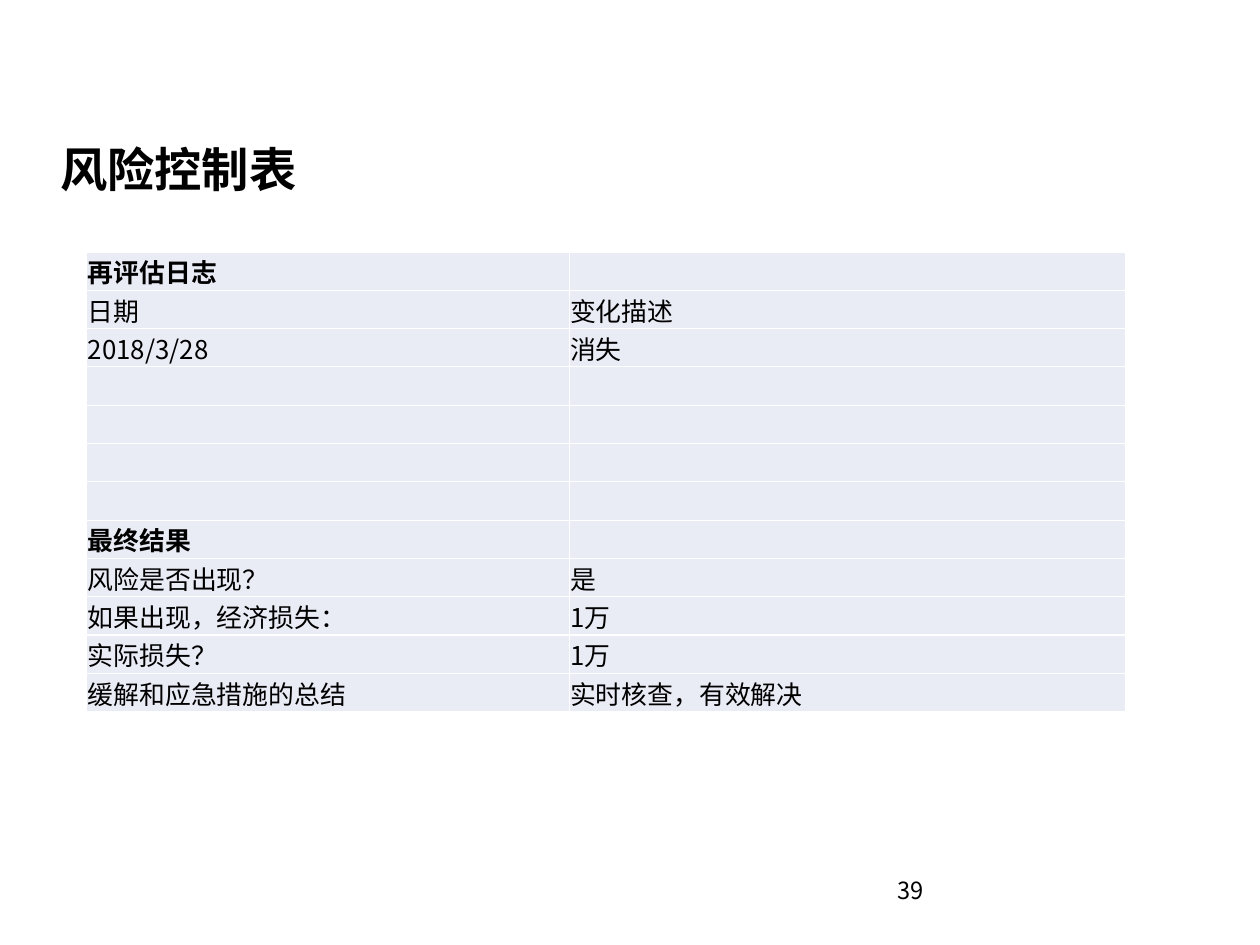
from dataclasses import dataclass

import lxml.etree
import pptx
import pptx.dml.color
import pptx.enum.text
import pptx.oxml.ns
import pptx.util

Pt = pptx.util.Pt
qn = pptx.oxml.ns.qn


@dataclass(frozen=True)
class Theme:
    font: str = "Noto Sans CJK SC"
    ink: str = "000000"
    cell_fill: str = "E9EBF5"
    grid: str = "FFFFFF"
    title_size: float = 38.4
    table_size: float = 21
    number_size: float = 19.2


@dataclass(frozen=True)
class Label:
    text: str
    left: float
    top: float
    width: float
    height: float
    inset: float
    size: float
    bold: bool = False
    line_spacing: float = 1.0


@dataclass(frozen=True)
class LogRow:
    name: str = ""
    detail: str = ""
    heading: bool = False


THEME = Theme()

LABELS = [
    Label("39", 722.9, 712, 230.4, 41, 6.5, THEME.number_size),
    Label("风险控制表", 41.8, 119.5, 331.2, 34.6, 7.2, THEME.title_size, True, 0.9),
]

LOG_ROWS = [
    LogRow("再评估日志", heading=True),
    LogRow("日期", "变化描述"),
    LogRow("2018/3/28", "消失"),
    *[LogRow()] * 4,
    LogRow("最终结果", heading=True),
    LogRow("风险是否出现？", "是"),
    LogRow("如果出现，经济损失：", "1万"),
    LogRow("实际损失？", "1万"),
    LogRow("缓解和应急措施的总结", "实时核查，有效解决"),
]

TABLE_LEFT, TABLE_TOP = 70.6, 204.8
COLUMN_WIDTHS = (392, 452)
ROW_HEIGHT = 31.15
CELL_INSET = 0.72


def write_text(frame, text: str, *, size: float, bold: bool = False,
               line_spacing: float = 1.0) -> None:
    para = frame.paragraphs[0]
    para.line_spacing = line_spacing
    span = para.add_run()
    span.text = text
    span.font.size = Pt(size)
    span.font.bold = bold
    span.font.name = THEME.font
    span.font.color.rgb = pptx.dml.color.RGBColor.from_string(THEME.ink)
    # East Asian glyphs take their own typeface entry
    east_asian = lxml.etree.SubElement(span.font._element, qn("a:ea"))
    east_asian.set("typeface", THEME.font)


def add_label(page, label: Label) -> None:
    box = page.shapes.add_textbox(
        Pt(label.left), Pt(label.top), Pt(label.width), Pt(label.height))
    frame = box.text_frame
    frame.word_wrap = True
    frame.margin_left = frame.margin_right = Pt(label.inset)
    frame.margin_top = frame.margin_bottom = Pt(0)
    write_text(frame, label.text, size=label.size, bold=label.bold,
               line_spacing=label.line_spacing)


def format_cell(cell, text: str, bold: bool) -> None:
    cell.margin_left = cell.margin_right = cell.margin_top = Pt(CELL_INSET)
    cell.margin_bottom = Pt(0)
    cell.vertical_anchor = pptx.enum.text.MSO_ANCHOR.BOTTOM
    # Borders come before the fill in the cell properties
    properties = cell._tc.get_or_add_tcPr()
    for side in ("lnL", "lnR", "lnT", "lnB"):
        line = lxml.etree.SubElement(properties, qn(f"a:{side}"), w=str(Pt(1)))
        paint = lxml.etree.SubElement(line, qn("a:solidFill"))
        lxml.etree.SubElement(paint, qn("a:srgbClr"), val=THEME.grid)
    cell.fill.solid()
    cell.fill.fore_color.rgb = pptx.dml.color.RGBColor.from_string(THEME.cell_fill)
    if text:
        write_text(cell.text_frame, text, size=THEME.table_size, bold=bold)


def add_log_table(page, rows: list[LogRow]) -> None:
    table = page.shapes.add_table(
        len(rows), len(COLUMN_WIDTHS), Pt(TABLE_LEFT), Pt(TABLE_TOP),
        Pt(sum(COLUMN_WIDTHS)), Pt(ROW_HEIGHT * len(rows))).table
    table.first_row = table.horz_banding = False
    for column, width in zip(table.columns, COLUMN_WIDTHS):
        column.width = Pt(width)
    for table_row, row in zip(table.rows, rows):
        table_row.height = Pt(ROW_HEIGHT)
        for cell, text in zip(table_row.cells, (row.name, row.detail)):
            format_cell(cell, text, row.heading)


def main() -> None:
    deck = pptx.Presentation()
    deck.slide_width, deck.slide_height = Pt(1024), Pt(768)
    page = deck.slides.add_slide(deck.slide_layouts[6])

    # Risk log and final result
    add_log_table(page, LOG_ROWS)

    # Page number and title
    for label in LABELS:
        add_label(page, label)

    deck.save("out.pptx")


if __name__ == "__main__":
    main()
